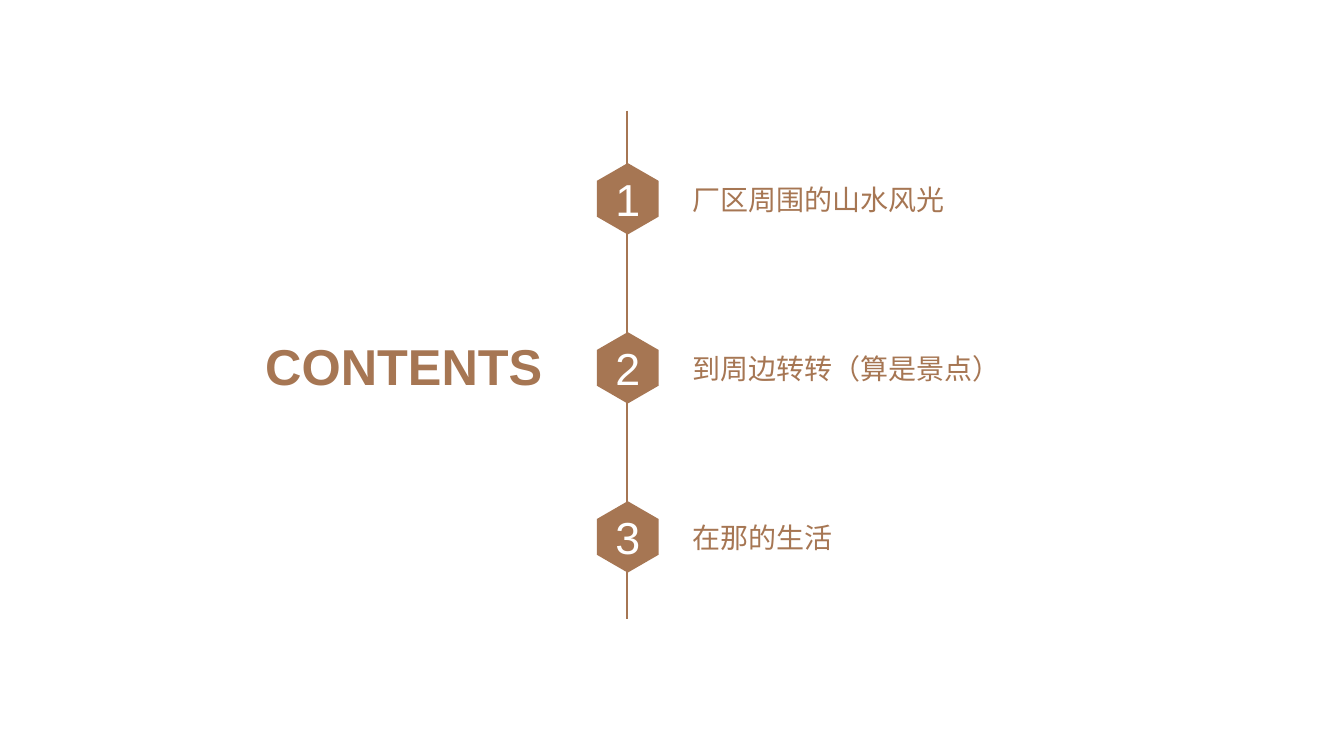
"""Build a contents slide: a heading beside a vertical line of numbered hexagons."""
from lxml import etree
from pptx import Presentation
from pptx.dml.color import RGBColor
from pptx.enum.shapes import MSO_CONNECTOR
from pptx.enum.text import MSO_ANCHOR, MSO_AUTO_SIZE, PP_ALIGN
from pptx.oxml.ns import qn
from pptx.util import Cm, Pt

STRAIGHT = MSO_CONNECTOR.STRAIGHT
MIDDLE = MSO_ANCHOR.MIDDLE
NO_FIT = MSO_AUTO_SIZE.NONE
LEFT, CENTER = PP_ALIGN.LEFT, PP_ALIGN.CENTER

HEADING = "CONTENTS"
TOPICS = ["厂区周围的山水风光", "到周边转转（算是景点）", "在那的生活"]

BROWN = RGBColor(0xA6, 0x76, 0x53)
WHITE = RGBColor(0xFF, 0xFF, 0xFF)
THEME = {
    "heading": {"name": "Arial", "size": Pt(36), "bold": True},
    "topic": {"name": "Arial", "size": Pt(20), "bold": False},
    "number": {"name": "Arial", "size": Pt(32), "bold": False},
    "accent": BROWN,
    "on_accent": WHITE,
    "line": Pt(1.5),
}

SLIDE_SIZE = (33.87, 19.05)
HEADING_BOX = (6.43, 8.31, 7.57, 1.8)
AXIS_X, AXIS_TOP, AXIS_BOTTOM = 15.8, 2.79, 15.6
HEX_X, HEX_W, HEX_H = 15.82, 1.56, 1.8
FIRST_Y, PITCH = 5.01, 4.26
TOPIC_X, TOPIC_W, TOPIC_H = 17.2, 9.98, 1.12
HEX_POINTS = [(0, -0.5), (0.5, -0.25), (0.5, 0.25), (0, 0.5), (-0.5, 0.25), (-0.5, -0.25)]


def set_text(sp, text, style, color, align):
    tf = sp.text_frame
    tf.text = text
    for name, value in {"word_wrap": True, "auto_size": NO_FIT, "vertical_anchor": MIDDLE}.items():
        setattr(tf, name, value)
    p = tf.paragraphs[0]
    p.alignment = align
    font = p.runs[0].font
    for name, value in THEME[style].items():
        setattr(font, name, value)
    font.color.rgb = THEME[color]


def add_heading(s):
    sp = s.shapes.title
    for name, value in zip(("left", "top", "width", "height"), HEADING_BOX):
        setattr(sp, name, Cm(value))
    set_text(sp, HEADING, "heading", "accent", LEFT)


def add_axis(s):
    x = Cm(AXIS_X)
    axis = s.shapes.add_connector(STRAIGHT, x, Cm(AXIS_TOP), x, Cm(AXIS_BOTTOM))
    axis.line.color.rgb = THEME["accent"]
    axis.line.width = THEME["line"]
    etree.SubElement(axis._element.spPr, qn("a:effectLst"))


def add_hexagon(s, number, y):
    points = [(Cm(HEX_X + dx * HEX_W), Cm(y + dy * HEX_H)) for dx, dy in HEX_POINTS]
    builder = s.shapes.build_freeform(*points[0])
    builder.add_line_segments(points[1:], close=True)
    sp = builder.convert_to_shape()
    sp.shadow.inherit = False
    sp.fill.solid()
    sp.fill.fore_color.rgb = THEME["accent"]
    sp.line.fill.background()
    for side in ("left", "top", "right", "bottom"):
        setattr(sp.text_frame, f"margin_{side}", 0)
    set_text(sp, str(number), "number", "on_accent", CENTER)


def add_topic(s, topic, y):
    sp = s.shapes.add_textbox(Cm(TOPIC_X), Cm(y - TOPIC_H / 2), Cm(TOPIC_W), Cm(TOPIC_H))
    set_text(sp, topic, "topic", "accent", LEFT)


def main():
    prs = Presentation()
    prs.slide_width, prs.slide_height = map(Cm, SLIDE_SIZE)
    s = prs.slides.add_slide(prs.slide_layouts.get_by_name("Title Only"))
    add_heading(s)
    add_axis(s)
    for i, topic in enumerate(TOPICS):
        y = FIRST_Y + i * PITCH
        add_hexagon(s, i + 1, y)
        add_topic(s, topic, y)
    prs.save("out.pptx")


if __name__ == "__main__":
    main()
